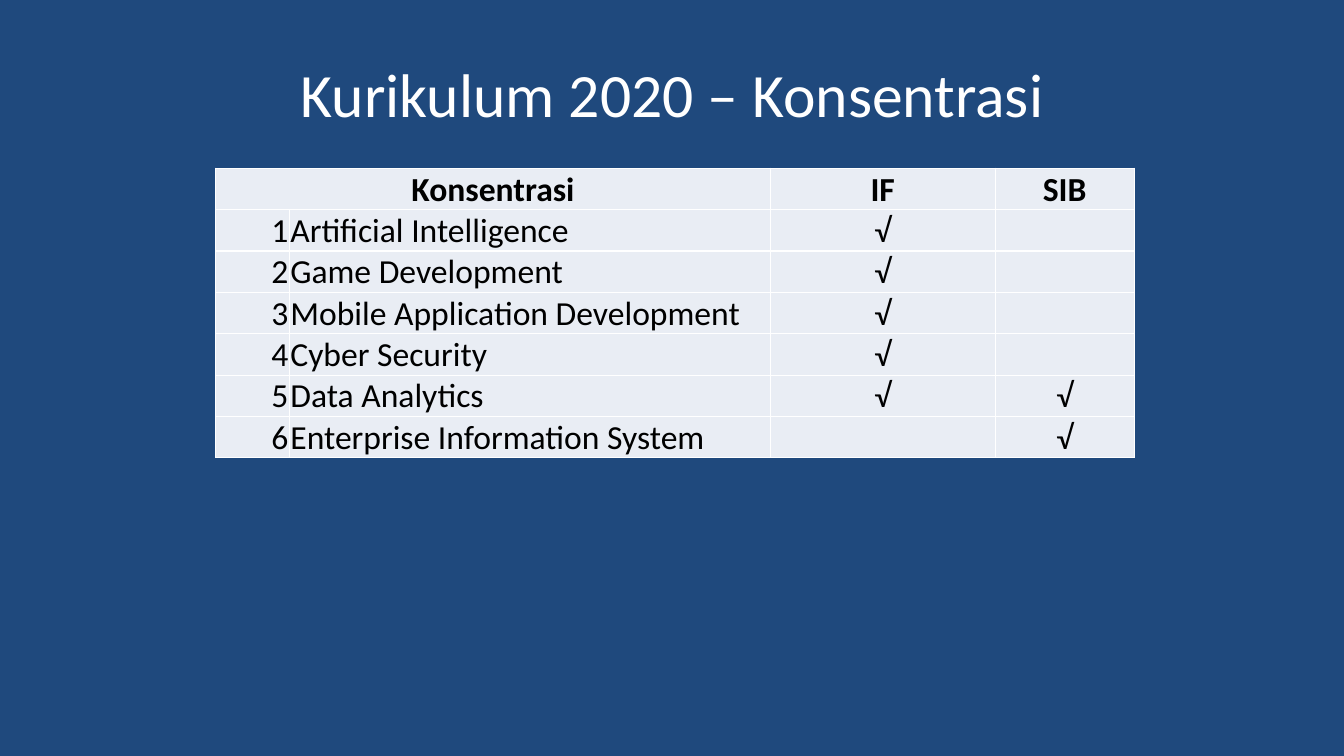
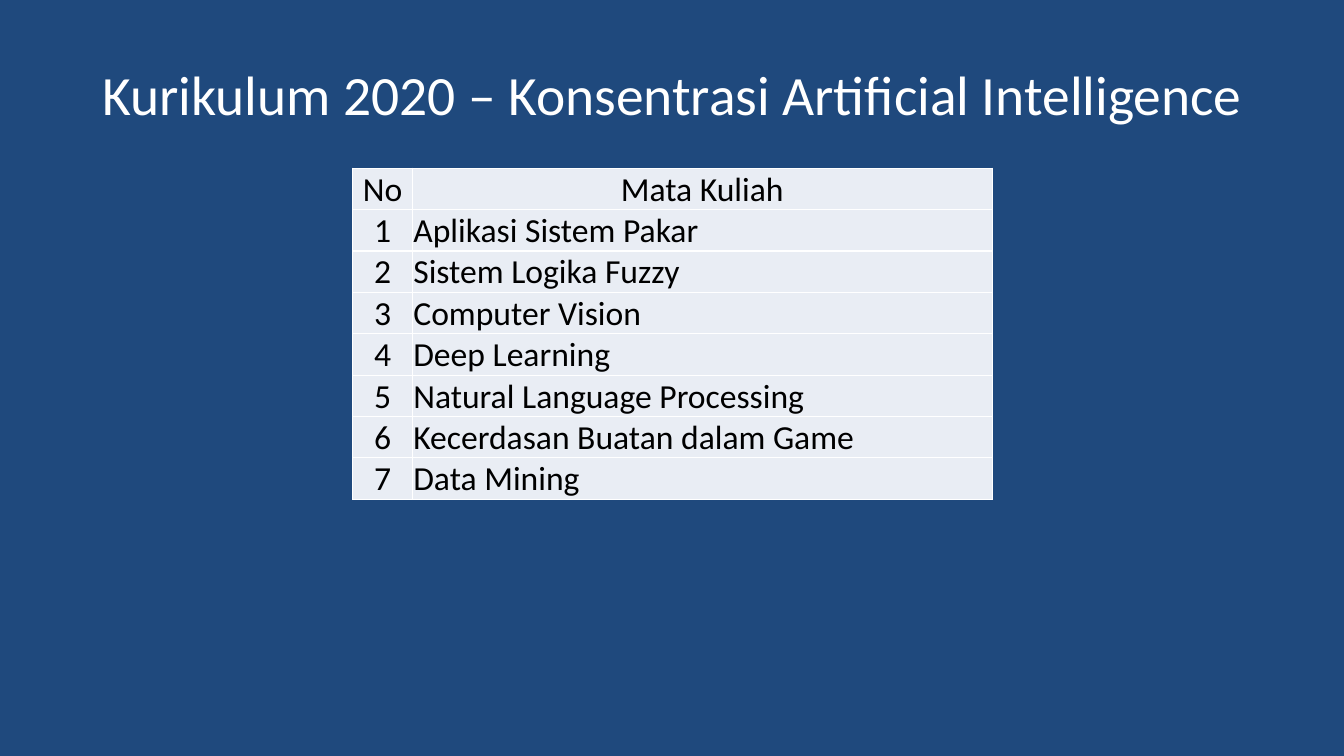
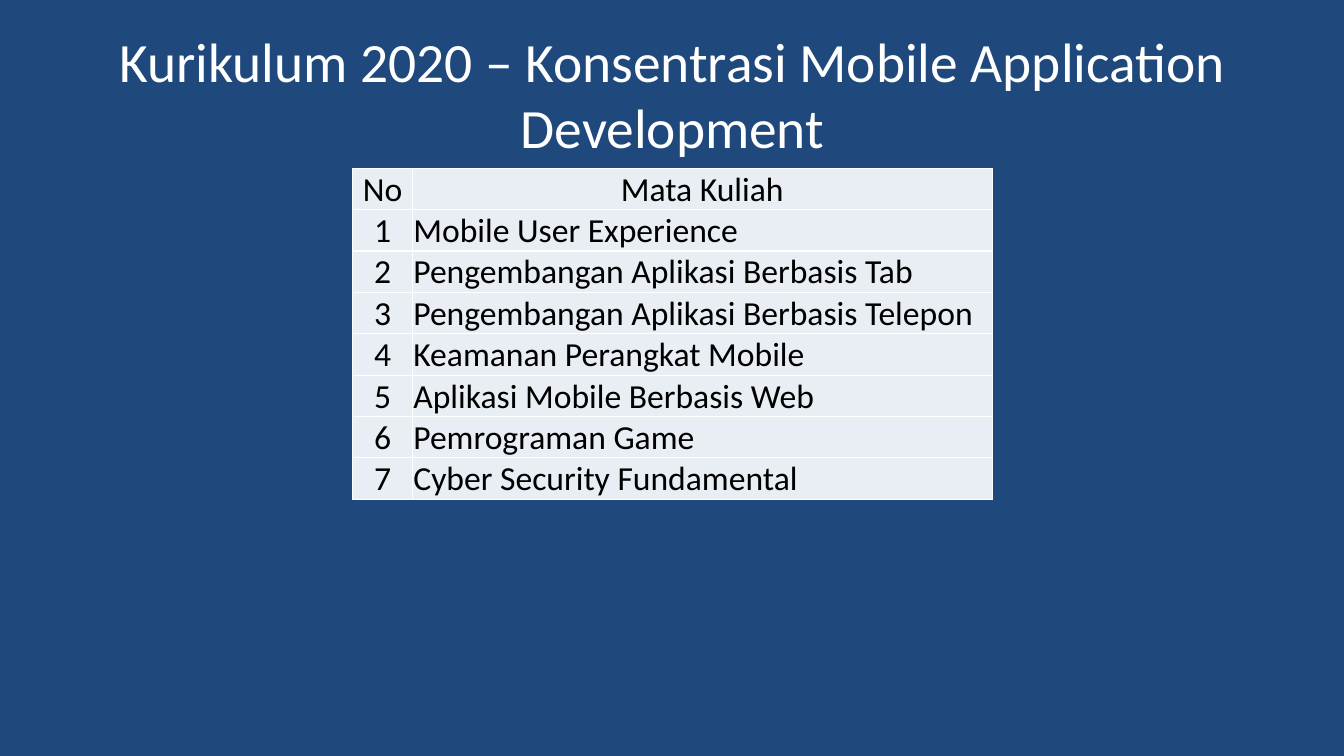
from pptx import Presentation
from pptx.dml.color import RGBColor
from pptx.enum.text import MSO_ANCHOR, PP_ALIGN
from pptx.util import Inches, Pt

NAVY = RGBColor(0x1F, 0x49, 0x7D)
PALE = RGBColor(0xE9, 0xED, 0xF4)
WHITE = RGBColor(0xFF, 0xFF, 0xFF)
BLACK = RGBColor(0x00, 0x00, 0x00)
FONT = "Calibri"
LEFT, CENTER, RIGHT = PP_ALIGN.LEFT, PP_ALIGN.CENTER, PP_ALIGN.RIGHT

TABLE_TOP = 1.67
ROW_HEIGHT = 0.41
CHECK = "√"

CONCENTRATIONS = [
    ("Artificial Intelligence", CHECK, ""),
    ("Game Development", CHECK, ""),
    ("Mobile Application Development", CHECK, ""),
    ("Cyber Security", CHECK, ""),
    ("Data Analytics", CHECK, CHECK),
    ("Enterprise Information System", "", CHECK),
]
COURSES = {
    "Artificial Intelligence": [
        "Aplikasi Sistem Pakar",
        "Sistem Logika Fuzzy",
        "Computer Vision",
        "Deep Learning",
        "Natural Language Processing",
        "Kecerdasan Buatan dalam Game",
        "Data Mining",
    ],
    "Mobile Application Development": [
        "Mobile User Experience",
        "Pengembangan Aplikasi Berbasis Tab",
        "Pengembangan Aplikasi Berbasis Telepon",
        "Keamanan Perangkat Mobile",
        "Aplikasi Mobile Berbasis Web",
        "Pemrograman Game",
        "Cyber Security Fundamental",
    ],
}


def write(paragraph, text, size, color, align, bold=False):
    paragraph.alignment = align
    span = paragraph.add_run()
    span.text = text
    span.font.name = FONT
    span.font.size = Pt(size)
    span.font.bold = bold
    span.font.color.rgb = color


def add_page(deck, title, size):
    page = deck.slides.add_slide(deck.slide_layouts[6])
    box = page.shapes.add_textbox(Inches(0.67), Inches(0.3), Inches(12), Inches(1.25))
    frame = box.text_frame
    frame.word_wrap = True
    frame.vertical_anchor = MSO_ANCHOR.MIDDLE
    write(frame.paragraphs[0], title, size, WHITE, CENTER)
    return page


def add_grid(page, left, widths, header, rows, aligns, anchor, bold_header=False):
    """Add a table; the header is centred and each column has its own alignment."""
    lines = [header] + rows
    frame = page.shapes.add_table(
        len(lines), len(widths), Inches(left), Inches(TABLE_TOP),
        Inches(sum(widths)), Inches(ROW_HEIGHT * len(lines)))
    table = frame.table
    table.first_row = table.horz_banding = False
    for column, width in zip(table.columns, widths):
        column.width = Inches(width)
    for r, line in enumerate(lines):
        table.rows[r].height = Inches(ROW_HEIGHT)
        for c, text in enumerate(line):
            cell = table.cell(r, c)
            cell.fill.solid()
            cell.fill.fore_color.rgb = PALE
            cell.vertical_anchor = anchor
            cell.margin_left = cell.margin_right = cell.margin_top = Inches(0.01)
            cell.margin_bottom = 0
            if text:
                align = aligns[c] if r else CENTER
                write(cell.text_frame.paragraphs[0], text, 24, BLACK, align,
                      bold_header and r == 0)
    return table


def main():
    deck = Presentation()
    deck.slide_width, deck.slide_height = Inches(13.33), Inches(7.5)
    background = deck.slide_master.background.fill
    background.solid()
    background.fore_color.rgb = NAVY

    heading = "Kurikulum 2020 – Konsentrasi"
    page = add_page(deck, heading, 44)
    rows = [(str(n), *row) for n, row in enumerate(CONCENTRATIONS, 1)]
    table = add_grid(page, 2.14, [0.73, 4.77, 2.23, 1.38],
                     ("Konsentrasi", "", "IF", "SIB"), rows,
                     [RIGHT, LEFT, CENTER, CENTER], MSO_ANCHOR.BOTTOM, True)
    table.cell(0, 0).merge(table.cell(0, 1))

    for concentration, courses in COURSES.items():
        page = add_page(deck, f"{heading} {concentration}", 39.6)
        rows = [(str(n), course) for n, course in enumerate(courses, 1)]
        add_grid(page, 3.5, [0.59, 5.75], ("No", "Mata Kuliah"), rows,
                 [CENTER, LEFT], MSO_ANCHOR.MIDDLE)

    deck.save("out.pptx")


if __name__ == "__main__":
    main()
